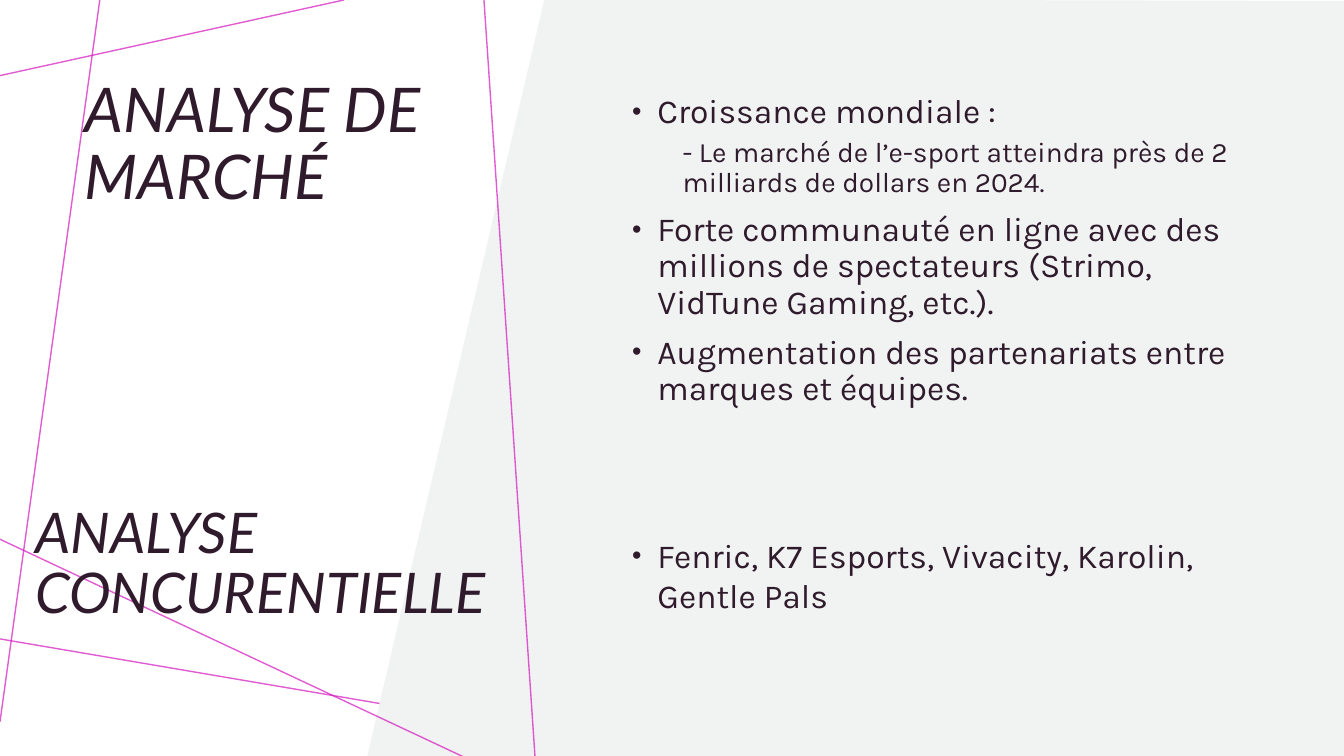
from dataclasses import dataclass
from lxml import etree
from pptx import Presentation
from pptx.dml.color import RGBColor
from pptx.enum import shapes, text
from pptx.oxml import ns
from pptx.util import Inches, Pt


@dataclass(frozen=True)
class Theme:
    ink: str = "301B2D"
    line: str = "D517C0"
    panel: str = "F0F3F2"
    head: str = "Lato"
    body: str = "Karla"
    title: int = 44
    sub: int = 40
    item: int = 24
    note: int = 20
    alpha: int = 70


theme = Theme()

TITLE = "ANALYSE DE MARCHÉ"
HEADING = "ANALYSE CONCURENTIELLE"
MARKET = [
    (0, "Croissance mondiale :"),
    (1, "- Le marché de l’e-sport atteindra près de 2 milliards de dollars en 2024."),
    (0, "Forte communauté en ligne avec des millions de spectateurs (Strimo, VidTune Gaming, etc.)."),
    (0, "Augmentation des partenariats entre marques et équipes."),
]
RIVALS = [(0, "Fenric, K7 Esports, Vivacity, Karolin, Gentle Pals")]

BACK = [
    ((3.41, 0), (0, 0.75)),
    ((0.99, 0), (0, 7.16)),
    ((6.83, 7.5), (-0.05, 6.33)),
]
FRONT = [
    ((4.6, 7.51), (0, 5.35)),
    ((4.8, 0), (5.31, 7.56)),
]
PANEL = [(5.4, -0.01), (13.33, 0.01), (13.33, 7.51), (3.64, 7.51)]

LISTX, LISTW = 6.17, 6.43


def add(parent, tag, **attrs):
    return etree.SubElement(parent, ns.qn(tag), attrs)


def color(name):
    return RGBColor.from_string(name)


def draw_lines(slide, lines):
    for start, end in lines:
        line = slide.shapes.add_connector(
            shapes.MSO_CONNECTOR.STRAIGHT, *map(Inches, start + end))
        line.line.color.rgb = color(theme.line)
        line.line.width = Pt(1)
        tint = line.element.spPr.find(".//" + ns.qn("a:srgbClr"))
        add(tint, "a:alpha", val=str(theme.alpha * 1000))
        add(line.element.spPr, "a:effectLst")


def draw_panel(slide):
    start, *rest = [tuple(map(Inches, point)) for point in PANEL]
    form = slide.shapes.build_freeform(*start)
    form.add_line_segments(rest, close=True)
    panel = form.convert_to_shape()
    panel.shadow.inherit = False
    panel.fill.solid()
    panel.fill.fore_color.rgb = color(theme.panel)
    panel.line.fill.background()


def place(shape, box, middle=False):
    shape.left, shape.top, shape.width, shape.height = map(Inches, box)
    frame = shape.text_frame
    frame.word_wrap = True
    frame.auto_size = text.MSO_AUTO_SIZE.NONE
    anchor = text.MSO_ANCHOR
    frame.vertical_anchor = anchor.MIDDLE if middle else anchor.TOP
    shape.element.getparent().append(shape.element)
    return frame


def write(para, words, size, font, italic=False, spacing=0.9, before=0):
    para.alignment = text.PP_ALIGN.LEFT
    para.line_spacing = spacing
    para.space_before = Pt(before)
    run = para.add_run()
    run.text = words
    run.font.size = Pt(size)
    run.font.name = font
    run.font.italic = italic
    run.font.color.rgb = color(theme.ink)


def fill_list(frame, items, spacing):
    for index, (level, words) in enumerate(items):
        para = frame.add_paragraph() if index else frame.paragraphs[0]
        para.level = level
        write(para, words, theme.note if level else theme.item, theme.body,
              spacing=spacing, before=5 if level else 10)
        props = para._p.get_or_add_pPr()
        props.set("marL", str(Inches(0.25 * (level + 1))))
        props.set("indent", str(0 if level else Inches(-0.25)))
        if level:
            add(props, "a:buNone")
        else:
            add(props, "a:buSzPct", val="80000")
            add(props, "a:buFont", typeface="Arial")
            add(props, "a:buChar", char="•")


def main():
    deck = Presentation()
    deck.slide_width, deck.slide_height = Inches(13.33), Inches(7.5)
    slide = deck.slides.add_slide(deck.slide_layouts[3])
    title, market, rivals = slide.placeholders

    draw_lines(slide, BACK)
    draw_panel(slide)
    draw_lines(slide, FRONT)

    frame = place(title, (0.74, 0.74, 4.34, 2.61))
    write(frame.paragraphs[0], TITLE, theme.title, theme.head, italic=True)
    label = slide.shapes.add_textbox(0, 0, 0, 0)
    frame = place(label, (0.25, 4.96, 5.71, 2.61))
    write(frame.paragraphs[0], HEADING, theme.sub, theme.head, italic=True)

    for shape, items, top, height, spacing in [
        (market, MARKET, 0.75, 3.49, 0.9),
        (rivals, RIVALS, 4.4, 2.61, 1.0),
    ]:
        frame = place(shape, (LISTX, top, LISTW, height), middle=True)
        fill_list(frame, items, spacing)

    deck.save("out.pptx")


if __name__ == "__main__":
    main()
